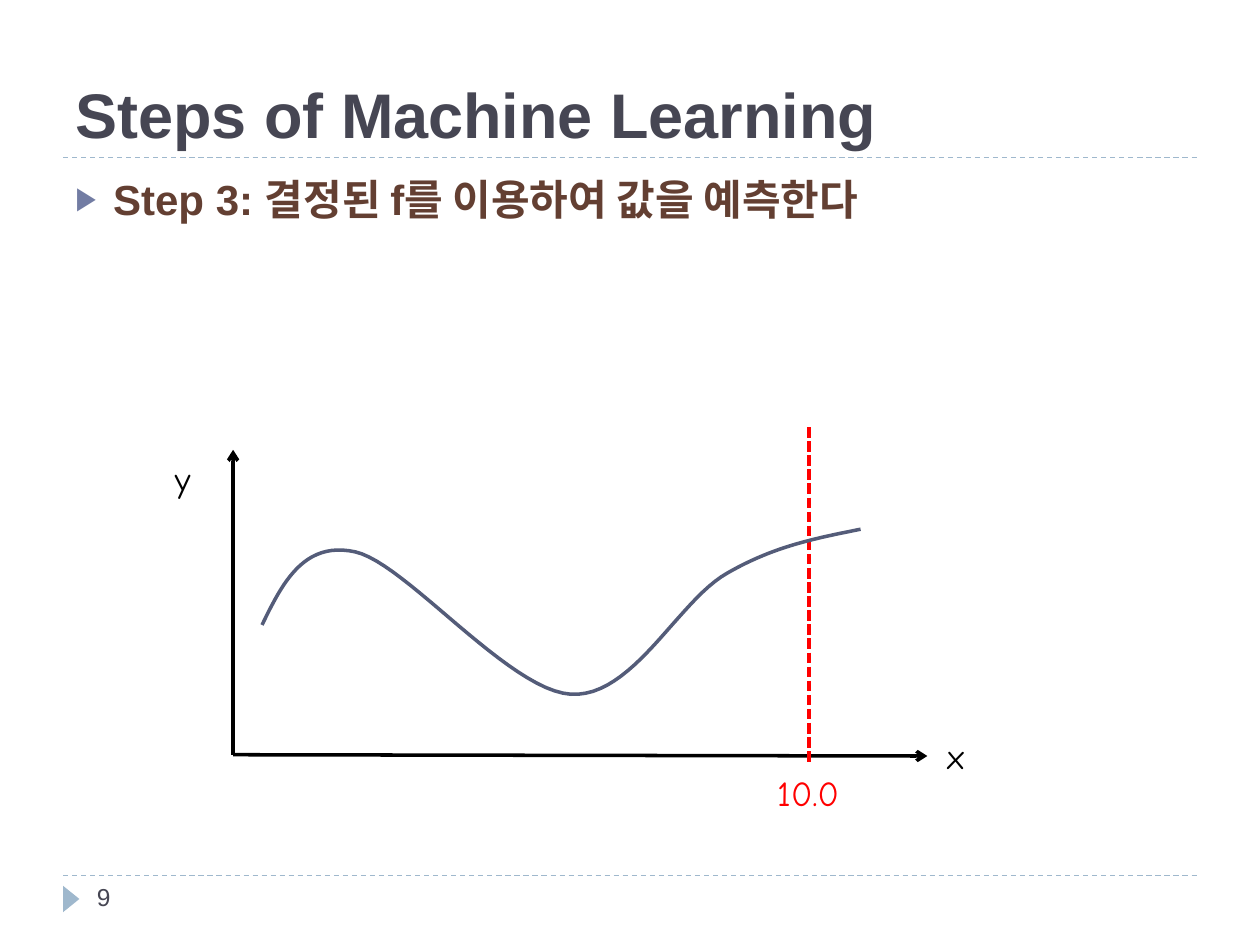
import pptx
import pptx.util
import pptx.dml.color
import pptx.enum.dml
import pptx.enum.shapes
import pptx.enum.text
import pptx.oxml
import pptx.oxml.ns
from pptx.util import Inches

hues = {"rule": "9FB8CD", "dark": "464653", "mark": "727CA3", "brown": "633F32",
        "black": "000000", "curve": "545C79", "red": "FF0000"}
Dash = pptx.enum.dml.MSO_LINE
Anchor = pptx.enum.text.MSO_ANCHOR

deck = pptx.Presentation()
deck.slide_width, deck.slide_height = Inches(10), Inches(7.5)
slide = deck.slides.add_slide(deck.slide_layouts[6])


def rgb(hue):
    return pptx.dml.color.RGBColor.from_string(hues[hue])


def node(root, tag, **attrs):
    item = pptx.oxml.parse_xml(f"<a:{tag} {pptx.oxml.ns.nsdecls('a')}/>")
    for key, value in attrs.items():
        item.set(key, value)
    root.append(item)
    return item


lines = [
    (0.5, 6.95, 9.5, 6.95, "rule", 0.75, Dash.DASH, False),
    (0.5, 1.25, 9.5, 1.25, "rule", 0.75, Dash.DASH, False),
    (1.85, 5.99, 7.36, 6, "black", 2, None, True),
    (1.85, 5.99, 1.85, 3.57, "black", 2, None, True),
    (6.42, 3.39, 6.42, 6.05, "red", 2, Dash.SQUARE_DOT, False),
]
for x1, y1, x2, y2, hue, width, dash, arrow in lines:
    line = slide.shapes.add_connector(
        pptx.enum.shapes.MSO_CONNECTOR.STRAIGHT,
        Inches(x1), Inches(y1), Inches(x2), Inches(y2))
    line.line.color.rgb = rgb(hue)
    line.line.width = pptx.util.Pt(width)
    if dash:
        line.line.dash_style = dash
    if arrow:
        node(line.line._get_or_add_ln(), "tailEnd", type="arrow")
    node(line._element.spPr, "effectLst")

wedge = slide.shapes.add_shape(
    pptx.enum.shapes.MSO_SHAPE.ISOSCELES_TRIANGLE,
    Inches(0.46), Inches(7.07), Inches(0.21), Inches(0.13))
wedge.rotation = 90
wedge.shadow.inherit = False
wedge.fill.solid()
wedge.fill.fore_color.rgb = rgb("rule")
wedge.line.fill.background()

start = (2.08, 4.96)
bends = [
    ((2.24, 4.63), (2.41, 4.29), (2.82, 4.38)),
    ((3.22, 4.47), (4.04, 5.48), (4.53, 5.51)),
    ((5.02, 5.54), (5.38, 4.77), (5.77, 4.55)),
    ((6.15, 4.33), (6.49, 4.27), (6.83, 4.2)),
]
steps = 24
dots = []
last = start
for bend in bends:
    for step in range(1, steps + 1):
        t = step / steps
        parts = ((1 - t) ** 3, 3 * t * (1 - t) ** 2, 3 * t ** 2 * (1 - t), t ** 3)
        dots.append(tuple(
            Inches(sum(p * c for p, c in zip(parts, axis)))
            for axis in zip(last, *bend)))
    last = bend[-1]
pen = slide.shapes.build_freeform(Inches(start[0]), Inches(start[1]))
pen.add_line_segments(dots, close=False)
curve = pen.convert_to_shape()
curve.shadow.inherit = False
curve.fill.background()
curve.line.color.rgb = rgb("curve")
curve.line.width = pptx.util.Pt(2)

texts = [
    ("Steps of Machine Learning", 0.5, 0.17, 9, 1.08, 36, "Arial", "dark", True, Anchor.BOTTOM, True),
    ("9", 0.67, 6.95, 2.17, 0.4, 14, "Arial", "dark", False, Anchor.TOP, True),
    ("Step 3: 결정된 f를 이용하여 값을 예측한다", 0.5, 1.33, 9, 5.4, 24, "Arial", "brown", True, Anchor.TOP, True),
    ("x", 7.42, 5.78, 0.37, 0.44, 20, "Comic Neue", "black", False, Anchor.TOP, False),
    ("y", 1.29, 3.58, 0.35, 0.44, 20, "Comic Neue", "black", False, Anchor.TOP, False),
    ("10.0", 6.07, 6.07, 0.74, 0.44, 20, "Comic Neue", "red", False, Anchor.TOP, False),
]
for text, x, y, w, h, size, face, hue, bold, anchor, wrap in texts:
    box = slide.shapes.add_textbox(Inches(x), Inches(y), Inches(w), Inches(h))
    frame = box.text_frame
    frame.word_wrap = wrap
    frame.vertical_anchor = anchor
    para = frame.paragraphs[0]
    para.text = text
    if hue == "brown":
        props = para._p.get_or_add_pPr()
        props.set("marL", str(Inches(0.3)))
        props.set("indent", str(Inches(-0.3)))
        node(node(props, "buClr"), "srgbClr", val=hues["mark"])
        node(props, "buSzPct", val="76000")
        node(props, "buFont", typeface="Arial")
        node(props, "buChar", char="▶")
    para.font.size = pptx.util.Pt(size)
    para.font.name = face
    para.font.bold = bold
    para.font.color.rgb = rgb(hue)

deck.save("out.pptx")
